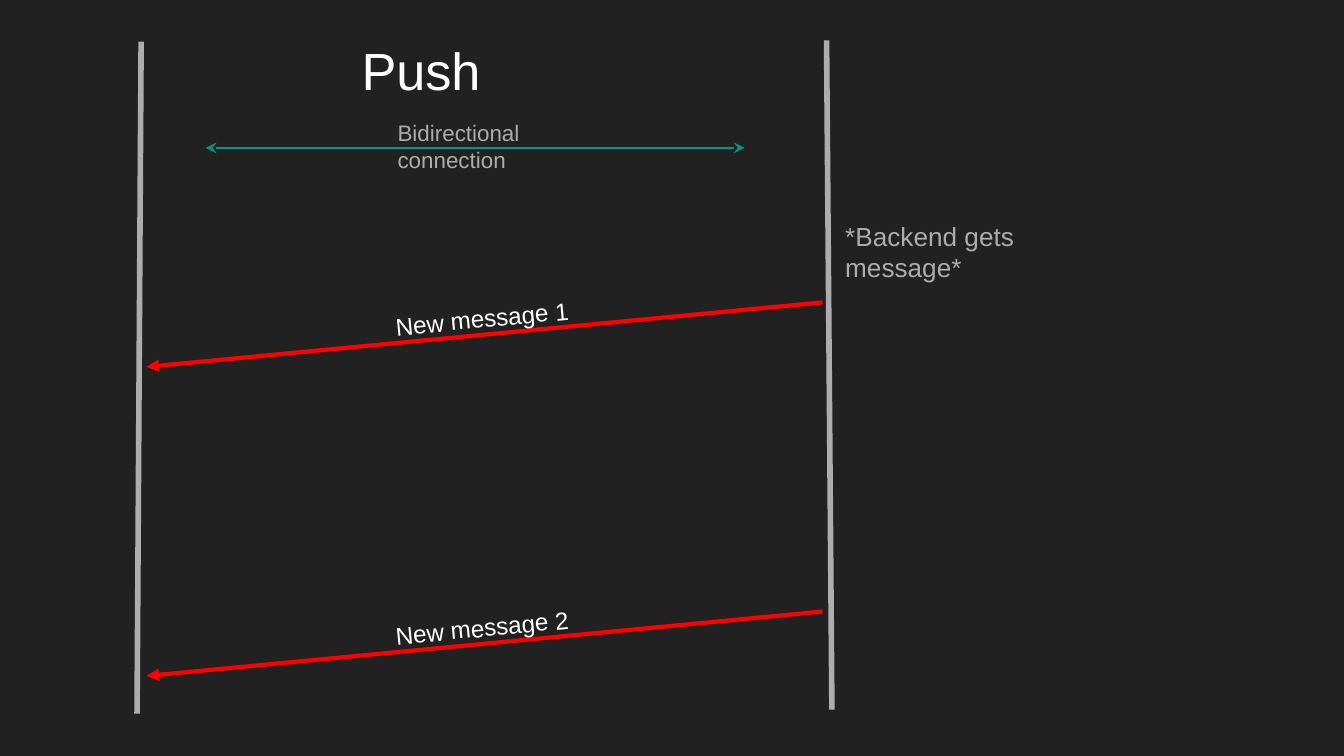
"""Build a slide showing push messaging over a bidirectional connection."""
from dataclasses import dataclass

from lxml import etree
from pptx import Presentation
from pptx.dml.color import RGBColor
from pptx.enum.shapes import MSO_CONNECTOR
from pptx.enum.text import MSO_ANCHOR, MSO_AUTO_SIZE, PP_ALIGN
from pptx.oxml.ns import qn
from pptx.util import Inches, Pt

STRAIGHT = MSO_CONNECTOR.STRAIGHT
TOP = MSO_ANCHOR.TOP
LEFT = PP_ALIGN.LEFT
NO_AUTOFIT = MSO_AUTO_SIZE.NONE
BACKGROUND, WHITE, GRAY, RED, TEAL = "212121", "FFFFFF", "ADADAD", "FF0000", "009688"


@dataclass
class Line:
    """A straight line with optional arrowheads."""
    start: tuple[float, float]
    end: tuple[float, float]
    color: str
    width: float
    head: str = ""
    tail: str = ""


@dataclass
class Label:
    """A text with its box, size and colour."""
    text: str
    box: tuple[float, float, float, float]
    size: float
    color: str
    rotation: float = 0


TITLE = Label("Push", (2.59, 0.24, 2.26, 0.63), 28, WHITE)
LIFELINES = [
    Line((6.15, 0.3), (6.19, 5.28), GRAY, 3),
    Line((1.05, 0.31), (1.02, 5.31), GRAY, 3),
]
CONNECTION = Line((1.53, 1.1), (5.54, 1.1), TEAL, 0.75, "stealth", "stealth")
NOTES = [
    Label("*Backend gets message*", (6.19, 1.54, 1.61, 0.67), 14, GRAY),
    Label("Bidirectional connection", (2.86, 0.79, 1.61, 0.6), 12, GRAY),
]
MESSAGE_TOPS = {"New message 2": 4.55, "New message 1": 2.25}


def rgb(color: str) -> RGBColor:
    """Turn a hex string into a colour."""
    return RGBColor.from_string(color)


def draw_line(slide, line: Line) -> None:
    """Draw a connector without shadow and add its arrowheads."""
    points = [Inches(value) for value in (*line.start, *line.end)]
    connector = slide.shapes.add_connector(STRAIGHT, *points)
    connector.line.color.rgb = rgb(line.color)
    connector.line.width = Pt(line.width)
    outline = connector.line._get_or_add_ln()
    for tag, arrow in (("a:headEnd", line.head), ("a:tailEnd", line.tail)):
        if arrow:
            etree.SubElement(outline, qn(tag), type=arrow)
    etree.SubElement(connector._element.spPr, qn("a:effectLst"))


def fill_text(shape, label: Label, line_spacing: float = 1.0) -> None:
    """Place a text shape and format its text."""
    shape.left, shape.top, shape.width, shape.height = map(Inches, label.box)
    shape.rotation = label.rotation
    frame = shape.text_frame
    frame.text = label.text
    margins = {f"margin_{side}": Inches(0.1) for side in ("left", "top", "right", "bottom")}
    paragraph = frame.paragraphs[0]
    formats = [
        (frame, {"word_wrap": True, "auto_size": NO_AUTOFIT, "vertical_anchor": TOP, **margins}),
        (paragraph, {"alignment": LEFT, "line_spacing": line_spacing}),
        (paragraph.runs[0].font, {"name": "Arial", "size": Pt(label.size)}),
    ]
    for target, values in formats:
        for name, value in values.items():
            setattr(target, name, value)
    paragraph.runs[0].font.color.rgb = rgb(label.color)


def draw_label(slide, label: Label) -> None:
    """Add a text box for a label."""
    fill_text(slide.shapes.add_textbox(*map(Inches, label.box)), label)


def draw_message(slide, text: str, top: float) -> None:
    """Draw a pushed message as a sloping arrow with its label."""
    draw_line(slide, Line((6.12, top), (1.09, top + 0.48), RED, 2.25, tail="triangle"))
    draw_label(slide, Label(text, (2.84, top - 0.15, 2.7, 0.42), 13, WHITE, 354.5))


def main() -> None:
    """Build and save the presentation."""
    presentation = Presentation()
    presentation.slide_width = Inches(10)
    presentation.slide_height = presentation.slide_width * 9 // 16
    slide = presentation.slides.add_slide(presentation.slide_layouts[5])
    slide.background.fill.solid()
    slide.background.fill.fore_color.rgb = rgb(BACKGROUND)
    fill_text(slide.shapes.title, TITLE, 0.9)
    for line in LIFELINES:
        draw_line(slide, line)
    for text, top in MESSAGE_TOPS.items():
        draw_message(slide, text, top)
    draw_line(slide, CONNECTION)
    for note in NOTES:
        draw_label(slide, note)
    presentation.save("out.pptx")


if __name__ == "__main__":
    main()
